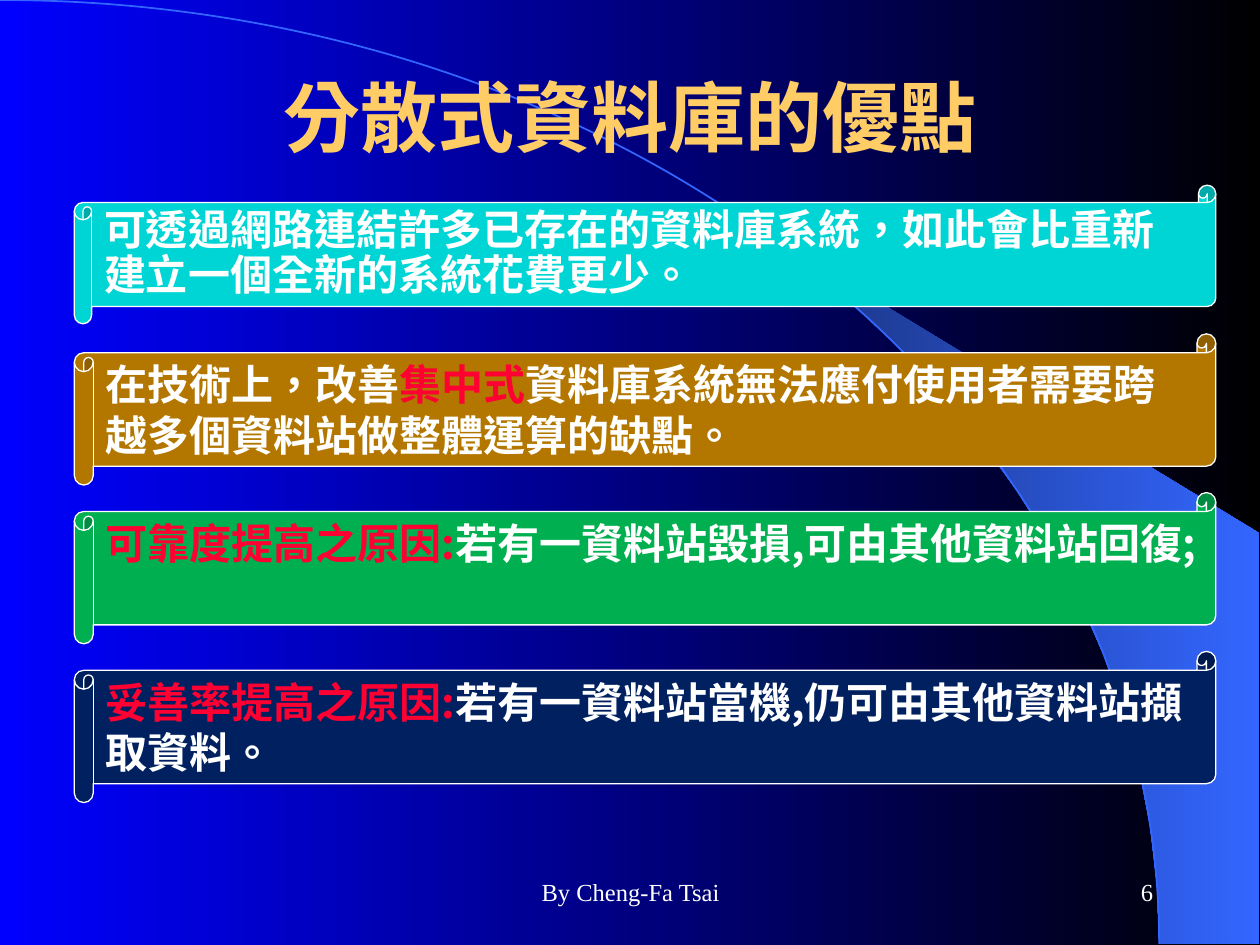
"""Build a slide listing the advantages of distributed databases on scroll banners."""
import math
from dataclasses import dataclass

import lxml.etree
import pptx
import pptx.dml.color
import pptx.enum.shapes
import pptx.enum.text
import pptx.oxml.ns
import pptx.util

Inches = pptx.util.Inches
Align = pptx.enum.text.PP_ALIGN
Anchor = pptx.enum.text.MSO_ANCHOR
Point = tuple[float, float]


@dataclass(frozen=True)
class Theme:
    heading_font: str = "Noto Sans CJK SC"
    footer_font: str = "Times New Roman"
    title_size: float = 44
    body_size: float = 24
    footer_size: float = 14
    line_pitch: float = 1.2
    white: str = "FFFFFF"
    gold: str = "FFCC66"
    red: str = "FF0033"
    blue: str = "0000FF"
    black: str = "000000"
    arc: str = "3366FF"
    arc_dark: str = "182F76"


@dataclass(frozen=True)
class Span:
    text: str
    color: str


@dataclass(frozen=True)
class Banner:
    top: float
    height: float
    fill: str
    spans: tuple[Span, ...]
    spacing: float = 1.0


THEME = Theme()
WIDTH, HEIGHT = 10, 7.5
ARC_WIDTH, ARC_HEIGHT = 9.2, 7.49
BANNER_LEFT, BANNER_WIDTH = 0.59, 9.06
BANNER_TOP, BANNER_HEIGHT, BANNER_STEP = 2.65, 1.2, 1.26
UNITS_PER_INCH = 1000

FIRST_BANNER = Banner(1.47, 1.1, "00D5D5", (
    Span("可透過網路連結許多已存在的資料庫系統，如此會比重新建立一個全新的系統花費更少。", THEME.white),
), 0.9)
OTHER_BANNERS = (
    ("B37700", (Span("在技術上，改善", THEME.white), Span("集中式", THEME.red),
                Span("資料庫系統無法應付使用者需要跨越多個資料站做整體運算的缺點。", THEME.white))),
    ("00B050", (Span("可靠度提高之原因:", THEME.red),
                Span("若有一資料站毀損,可由其他資料站回復;", THEME.white))),
    ("002060", (Span("妥善率提高之原因:", THEME.red),
                Span("若有一資料站當機,仍可由其他資料站擷取資料。", THEME.white))),
)


def rgb(value: str) -> pptx.dml.color.RGBColor:
    """Turn a hex string into a colour."""
    return pptx.dml.color.RGBColor.from_string(value)


def apply(target, values: dict) -> None:
    """Set each named attribute on the target."""
    for name, value in values.items():
        setattr(target, name, value)


def add_span(para, span: Span, size: float, font: str, bold: bool) -> None:
    """Add one Traditional Chinese run, with the same font for both scripts."""
    run = para.add_run()
    run.text = span.text
    apply(run.font, {"size": pptx.util.Pt(size), "name": font, "bold": bold})
    run.font.color.rgb = rgb(span.color)
    properties = run.font._element
    properties.set("lang", "zh-TW")
    east_asian = lxml.etree.SubElement(properties, pptx.oxml.ns.qn("a:ea"))
    east_asian.set("typeface", font)


def set_frame(box, anchor: Anchor) -> None:
    """Give a box its margins, wrapping and anchor."""
    side, edge = Inches(0.1), Inches(0.05)
    apply(box.text_frame, {
        "word_wrap": True, "vertical_anchor": anchor, "margin_left": side,
        "margin_right": side, "margin_top": edge, "margin_bottom": edge,
    })


def set_gradient(fill, colors: tuple[str, str]) -> None:
    """Fill from left to right with two colours."""
    fill.gradient()
    fill.gradient_angle = 0
    for stop, color, position in zip(fill.gradient_stops, colors, (0, 1)):
        stop.color.rgb = rgb(color)
        stop.position = position


def arc_points(start: float, steps: int) -> list[Point]:
    """Return points on the quarter ellipse from a start angle to its lower end."""
    angles = (start + (math.pi / 2 - start) * step / steps for step in range(steps + 1))
    return [(ARC_WIDTH * math.sin(angle), ARC_HEIGHT * (1 - math.cos(angle))) for angle in angles]


def add_outline(page, points: list[Point], close: bool):
    """Draw a freeform through points given in inches."""
    scaled = [(round(x * UNITS_PER_INCH), round(y * UNITS_PER_INCH)) for x, y in points]
    builder = page.shapes.build_freeform(*scaled[0], scale=Inches(1) / UNITS_PER_INCH)
    builder.add_line_segments(scaled[1:], close=close)
    outline = builder.convert_to_shape()
    outline.shadow.inherit = False
    return outline


def bend(outline) -> None:
    """Turn the three line segments of an outline into one cubic curve."""
    qn = pptx.oxml.ns.qn
    segments = list(outline._element.iter(qn("a:lnTo")))
    curve = lxml.etree.SubElement(segments[0].getparent(), qn("a:cubicBezTo"))
    for segment in segments:
        curve.append(segment[0])
        segment.getparent().remove(segment)


def add_backdrop(page) -> None:
    """Draw the background, the shaded crescent and the thin arc."""
    set_gradient(page.background.fill, (THEME.blue, THEME.black))
    corner = [(9.99, ARC_HEIGHT), (9.99, 4.23)]
    crescent = add_outline(page, arc_points(math.asin(0.64), 14) + corner, True)
    set_gradient(crescent.fill, (THEME.arc_dark, THEME.arc))
    crescent.line.fill.background()
    arc = add_outline(page, [(0, 0), (5.08, 0), (ARC_WIDTH, 3.35), (ARC_WIDTH, ARC_HEIGHT)], False)
    bend(arc)
    arc.fill.background()
    arc.line.color.rgb = rgb(THEME.arc)
    arc.line.width = pptx.util.Pt(1)


def add_title(page, text: str) -> None:
    """Place the title above the backdrop."""
    title = page.shapes.title
    apply(title, {"left": 0, "top": 0, "width": Inches(WIDTH), "height": Inches(1.83)})
    set_frame(title, Anchor.MIDDLE)
    para = title.text_frame.paragraphs[0]
    para.alignment = Align.CENTER
    add_span(para, Span(text, THEME.gold), THEME.title_size, THEME.heading_font, True)
    title._element.getparent().append(title._element)


def add_footer(page, text: str, left: float, width: float, alignment: Align) -> None:
    """Add one piece of footer text."""
    box = page.shapes.add_textbox(Inches(left), Inches(6.83), Inches(width), Inches(0.5))
    set_frame(box, Anchor.MIDDLE)
    para = box.text_frame.paragraphs[0]
    para.alignment = alignment
    add_span(para, Span(text, THEME.white), THEME.footer_size, THEME.footer_font, False)


def add_banner(page, banner: Banner) -> None:
    """Draw one scroll with its text."""
    scroll = page.shapes.add_shape(
        pptx.enum.shapes.MSO_SHAPE.HORIZONTAL_SCROLL, Inches(BANNER_LEFT),
        Inches(banner.top), Inches(BANNER_WIDTH), Inches(banner.height))
    scroll.shadow.inherit = False
    scroll.fill.solid()
    scroll.fill.fore_color.rgb = rgb(banner.fill)
    scroll.line.color.rgb = rgb(THEME.white)
    scroll.line.width = pptx.util.Pt(0.75)
    set_frame(scroll, Anchor.TOP)
    para = scroll.text_frame.paragraphs[0]
    pitch = THEME.body_size * THEME.line_pitch * banner.spacing
    apply(para, {"alignment": Align.LEFT, "line_spacing": pptx.util.Pt(round(pitch, 1))})
    for span in banner.spans:
        add_span(para, span, THEME.body_size, THEME.heading_font, True)


def main() -> None:
    """Build and save the deck."""
    deck = pptx.Presentation()
    apply(deck, {"slide_width": Inches(WIDTH), "slide_height": Inches(HEIGHT)})
    page = deck.slides.add_slide(deck.slide_layouts[5])
    add_backdrop(page)
    add_footer(page, "By Cheng-Fa Tsai", 3.42, 3.17, Align.CENTER)
    add_footer(page, "6", 7.17, 2.08, Align.RIGHT)
    add_title(page, "分散式資料庫的優點")
    for index, (fill, spans) in enumerate(OTHER_BANNERS):
        add_banner(page, Banner(BANNER_TOP + index * BANNER_STEP, BANNER_HEIGHT, fill, spans))
    add_banner(page, FIRST_BANNER)
    deck.save("out.pptx")


if __name__ == "__main__":
    main()
